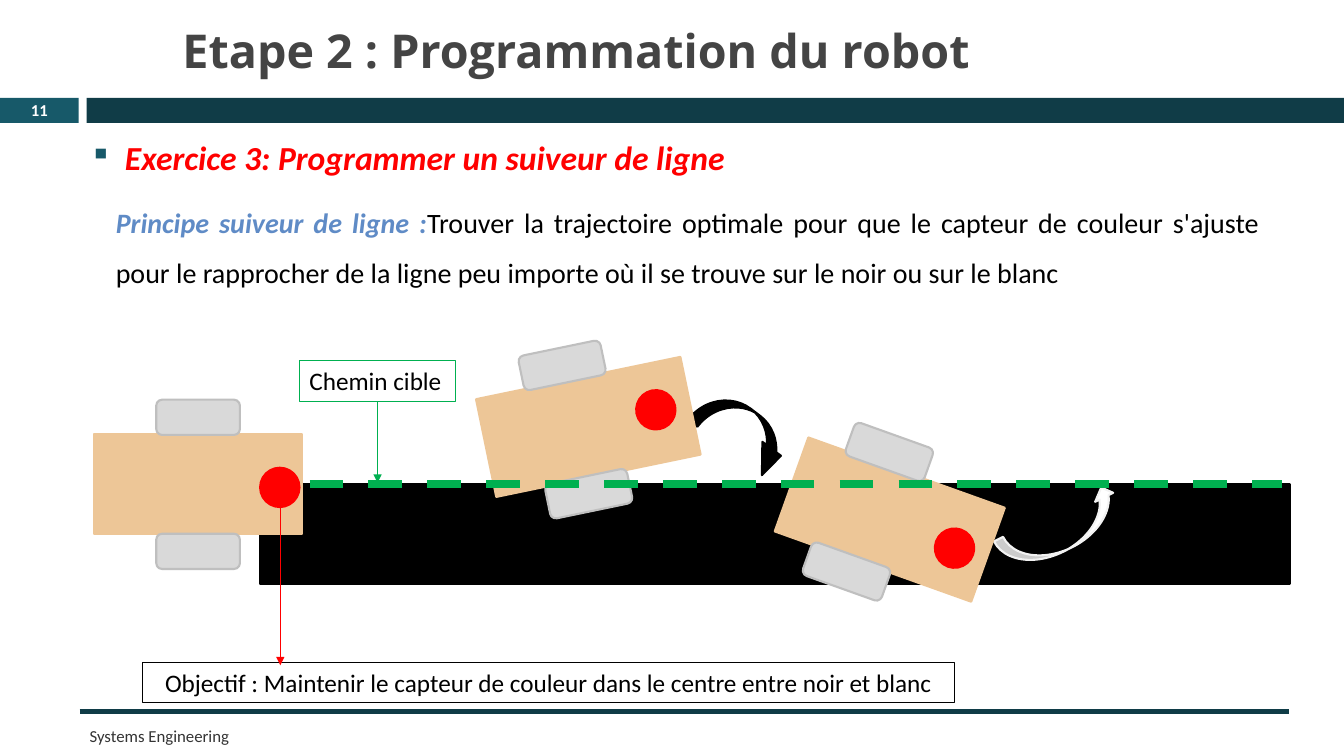
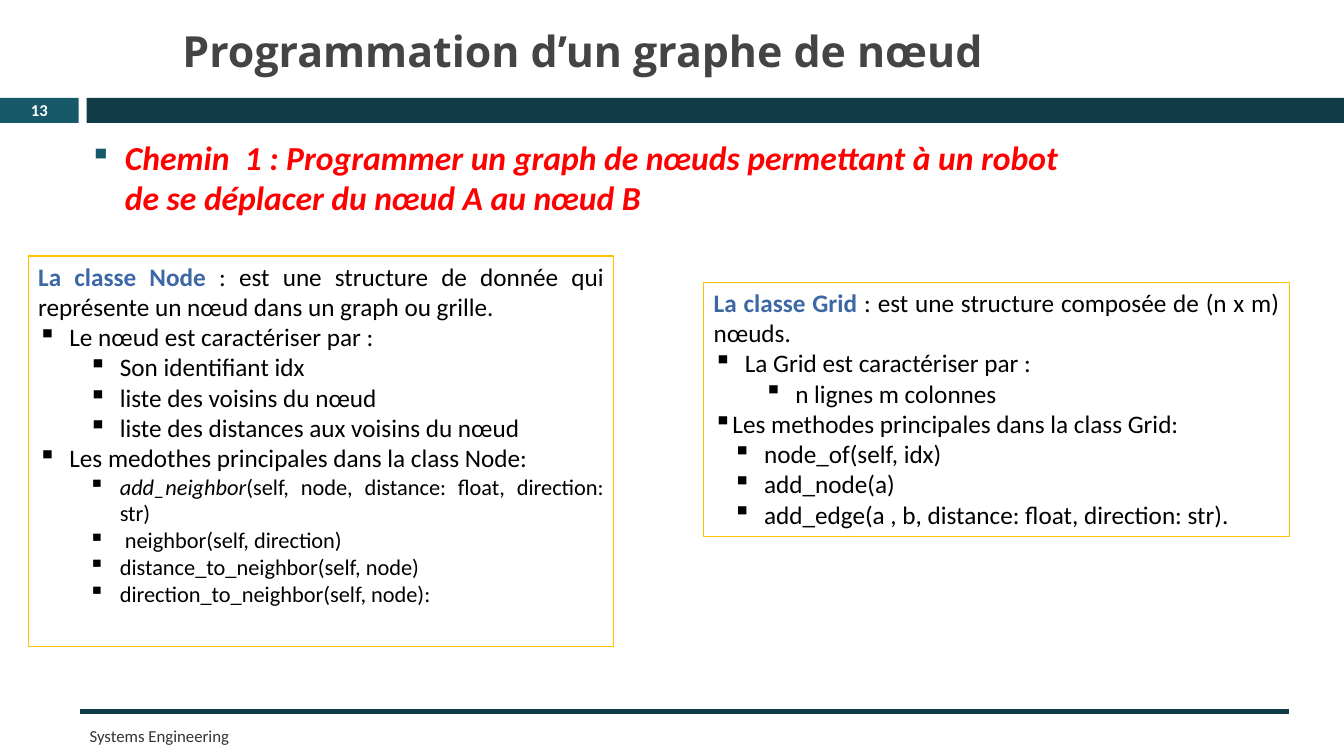
from dataclasses import dataclass
from math import cos, radians, sin
from typing import NamedTuple, Optional

from lxml import etree
from pptx import Presentation
from pptx.dml.color import RGBColor
from pptx.enum.dml import MSO_LINE
from pptx.enum.shapes import MSO_CONNECTOR, MSO_SHAPE
from pptx.enum.text import MSO_ANCHOR, PP_ALIGN
from pptx.oxml.ns import qn
from pptx.util import Inches, Pt

RECT, ROUND, OVAL = MSO_SHAPE.RECTANGLE, MSO_SHAPE.ROUNDED_RECTANGLE, MSO_SHAPE.OVAL
DOWN, UP = MSO_SHAPE.CURVED_DOWN_ARROW, MSO_SHAPE.CURVED_UP_ARROW
LEFT, MID, JUST = PP_ALIGN.LEFT, PP_ALIGN.CENTER, PP_ALIGN.JUSTIFY
TOP, CENTRE = MSO_ANCHOR.TOP, MSO_ANCHOR.MIDDLE
LINE, DASH = MSO_CONNECTOR.STRAIGHT, MSO_LINE.DASH

COLS, ROWS = 133.3, 75
TEAL, DEEP, GREY, INK = "175969", "103C47", "444444", "343434"
BLACK, WHITE, RED, GREEN, GOLD = "000000", "FFFFFF", "FF0000", "00B050", "FFC000"
SAND, TYRE, RIM, PALE = "EDC697", "D9D9D9", "BFBFBF", "F2F2F2"
SKY, BLUE = "5F8BC6", "3C68A5"
HEAD, BODY = "Open Sans", "Calibri"


class Box(NamedTuple):
    x: float
    y: float
    w: float
    h: float


class Run(NamedTuple):
    text: str
    color: Optional[str] = None
    bold: Optional[bool] = None
    slant: Optional[bool] = None


@dataclass
class Para:
    runs: list[Run]
    size: float = 18
    color: str = BLACK
    bold: bool = False
    slant: bool = False
    align: PP_ALIGN = LEFT
    font: str = BODY
    lead: float = 1
    before: float = 0
    level: int = 0
    left: float = 0
    hang: float = 0
    bullet: bool = False
    tint: str = ""


@dataclass
class Robot:
    x: float
    y: float
    turn: float
    shift: float
    gap: float
    eye: tuple[float, float]


ROBOTS = [
    Robot(19.65, 48.05, 0, 0, 6.65, (8.1, 0.3)),
    Robot(58.35, 42.35, -11.7, -1.3, 6.5, (6.9, -0.3)),
    Robot(88.25, 51.55, 19.7, -2.3, 6.3, (7, 0.5)),
]


def grid(cells: float) -> int:
    return Inches(cells / 10)


def paint(code: str) -> RGBColor:
    return RGBColor.from_string(code)


def mark(para, spec_item: Para) -> None:
    props = para._p.get_or_add_pPr()
    props.set("marL", str(grid(spec_item.left)))
    props.set("indent", str(grid(-spec_item.hang)))
    if spec_item.tint:
        tone = etree.SubElement(props, qn("a:buClr"))
        etree.SubElement(tone, qn("a:srgbClr")).set("val", spec_item.tint)
        etree.SubElement(props, qn("a:buSzPct")).set("val", "90000")
    etree.SubElement(props, qn("a:buChar")).set("char", "▪")


def write(frame, paras: list[Para], anchor: MSO_ANCHOR = TOP) -> None:
    frame.word_wrap = True
    frame.vertical_anchor = anchor
    for i, item in enumerate(paras):
        para = frame.add_paragraph() if i else frame.paragraphs[0]
        if item.bullet:
            mark(para, item)
        para.alignment = item.align
        para.level = item.level
        para.line_spacing = item.lead
        para.space_before = Pt(item.before)
        font = para.font
        font.name, font.size = item.font, Pt(item.size)
        font.bold, font.italic = item.bold, item.slant
        font.color.rgb = paint(item.color)
        for part in item.runs:
            run = para.add_run()
            run.text = part.text
            if part.color:
                run.font.color.rgb = paint(part.color)
            if part.bold is not None:
                run.font.bold = part.bold
            if part.slant is not None:
                run.font.italic = part.slant


def text(slide, box: Box, paras: list[Para], anchor: MSO_ANCHOR = TOP) -> None:
    write(slide.shapes.add_textbox(*map(grid, box)).text_frame, paras, anchor)


def shape(slide, kind: MSO_SHAPE, box: Box, fill: str = "", edge: str = "",
          width: float = 1.5, turn: float = 0):
    item = slide.shapes.add_shape(kind, *map(grid, box))
    item.shadow.inherit = False
    item.rotation = turn
    if fill:
        item.fill.solid()
        item.fill.fore_color.rgb = paint(fill)
    else:
        item.fill.background()
    if edge:
        item.line.color.rgb = paint(edge)
        item.line.width = Pt(width)
    else:
        item.line.fill.background()
    return item


def frame(slide, box: Box, edge: str, paras: list[Para]):
    item = shape(slide, RECT, box, edge=edge, width=0.75)
    write(item.text_frame, paras)
    return item


def line(slide, start: tuple[float, float], end: tuple[float, float],
         color: str, width: float, arrow: bool = False):
    item = slide.shapes.add_connector(LINE, *map(grid, start + end))
    item.line.color.rgb = paint(color)
    item.line.width = Pt(width)
    etree.SubElement(item._element.spPr, qn("a:effectLst"))
    if arrow:
        tip = etree.SubElement(item.line._get_or_add_ln(), qn("a:tailEnd"))
        tip.set("type", "triangle")
    return item


def draw(slide, robot: Robot) -> None:
    c, s = cos(radians(robot.turn)), sin(radians(robot.turn))

    def part(kind: MSO_SHAPE, dx: float, dy: float, w: float, h: float,
             fill: str, edge: str) -> None:
        x = robot.x + dx * c - dy * s - w / 2
        y = robot.y + dx * s + dy * c - h / 2
        shape(slide, kind, Box(x, y, w, h), fill, edge, turn=robot.turn)

    part(RECT, 0, 0, 20.7, 9.9, SAND, SAND)
    part(OVAL, *robot.eye, 3.9, 3.9, RED, RED)
    for side in (-1, 1):
        part(ROUND, robot.shift, side * robot.gap, 8.3, 3.5, TYRE, RIM)


def start(deck, number: str, title: str, size: float, topic: str, box: Box):
    slide = deck.slides.add_slide(deck.slide_layouts[5])
    shape(slide, RECT, Box(0, 9.7, 7.8, 2.5), TEAL)
    shape(slide, RECT, Box(8.6, 9.7, COLS - 8.6, 2.5), DEEP)
    line(slide, (7.9, 70.6), (127.8, 70.6), DEEP, 4)
    text(slide, Box(0, 9.6, 7.8, 2.7),
         [Para([Run(number)], 11.9, WHITE, bold=True, align=MID)], CENTRE)
    text(slide, Box(7.9, 71.4, 75.6, 3.1),
         [Para([Run("Systems Engineering")], 12, INK)], CENTRE)
    head = slide.shapes.title
    head.left, head.top, head.width, head.height = map(grid, (17.1, 1.4, 81.4, 7.1))
    write(head.text_frame, [Para([Run(title)], size, GREY, bold=True, font=HEAD)], CENTRE)
    text(slide, box, [Para([Run(topic)], 24, RED, bold=True, slant=True, before=7,
                           left=3.5, hang=3.5, bullet=True, tint=TEAL)])
    return slide


def follow(deck) -> None:
    slide = start(deck, "11", "Etape 2 : Programmation du robot", 33.3,
                  "Exercice 3: Programmer un suiveur de ligne", Box(7.9, 13.1, 66.5, 5))
    shape(slide, RECT, Box(25.8, 48, 102.1, 9.9), BLACK, BLACK)
    draw(slide, ROBOTS[0])
    frame(slide, Box(14.1, 65.7, 80.6, 4), BLACK, [Para([Run(
        "Objectif : Maintenir le capteur de couleur dans le centre entre noir et blanc")],
        align=MID)])
    line(slide, (27.8, 50.3), (27.8, 66), RED, 0.79, True)
    bend = shape(slide, DOWN, Box(68.6, 40.6, 10.3, 4.6), BLACK, BLACK, turn=36.9)
    bend.adjustments[2] = 0.58
    shape(slide, UP, Box(98.8, 50.6, 12.9, 4), WHITE, PALE, turn=333.3)
    for robot in ROBOTS[1:]:
        draw(slide, robot)
    text(slide, Box(10.5, 18.2, 115.4, 10.6), [Para([
        Run("Principe suiveur de ligne :", SKY, True, True),
        Run("Trouver la trajectoire optimale pour que le capteur de couleur s'ajuste "
            "pour le rapprocher de la ligne peu importe où il se trouve sur le noir "
            "ou sur le blanc")], 20, align=JUST, lead=1.5)])
    goal = line(slide, (30.7, 48), (127.2, 48), GREEN, 6)
    goal.line.dash_style = DASH
    label = frame(slide, Box(29.7, 35.8, 15.5, 4), GREEN, [Para([Run("Chemin cible")])])
    link = line(slide, (37.45, 39.8), (37.45, 47.9), GREEN, 0.79, True)
    link.begin_connect(label, 2)


def intro(name: str, rest: str) -> Para:
    return Para([Run(name, BLUE, True), Run(rest)], align=JUST)


def item(words: str, left: float = 3.1, level: int = 0, size: float = 18,
         hang: float = 3.1, lean: str = "") -> Para:
    runs = [Run(lean, slant=True)] if lean else []
    return Para(runs + [Run(words)], size, align=JUST, level=level,
                left=left, hang=hang, bullet=True)


def graph(deck) -> None:
    slide = start(deck, "13", "Programmation d’un graphe de nœud", 30.6,
                  "Chemin  1 : Programmer un graph de nœuds permettant à un robot "
                  "de se déplacer du nœud A au nœud B", Box(7.9, 13.1, 101.8, 9.1))
    traits = ["Son identifiant idx", "liste des voisins du nœud",
              "liste des distances aux voisins du nœud"]
    calls = [" neighbor(self, direction)", "distance_to_neighbor(self, node)",
             "direction_to_neighbor(self, node):"]
    frame(slide, Box(2.8, 25.4, 58.1, 38.7), GOLD, [
        intro("La classe Node ", ": est une structure de donnée qui représente "
              "un nœud dans un graph ou grille."),
        item("Le nœud est caractériser par :"),
        *(item(t, 8.1, 1) for t in traits),
        item("Les medothes principales dans la class Node:"),
        item("(self, node, distance: float, direction: str)", 8.1, 1, 16,
             lean="add_neighbor"),
        *(item(t, 8.1, 1, 16) for t in calls),
    ])
    calls = ["node_of(self, idx)", "add_node(a)",
             "add_edge(a , b, distance: float, direction: str)."]
    frame(slide, Box(69.8, 28, 58.1, 25.2), GOLD, [
        intro("La classe Grid ", ": est une structure composée de (n x m) nœuds."),
        item("La Grid est caractériser par :"),
        item("n lignes m colonnes", 8.1, 1),
        item("Les methodes principales dans la class Grid:", 0, hang=0),
        *(item(t, 5, 1) for t in calls),
    ])


def main() -> None:
    deck = Presentation()
    deck.slide_width, deck.slide_height = grid(COLS), grid(ROWS)
    follow(deck)
    graph(deck)
    deck.save("out.pptx")


if __name__ == "__main__":
    main()
